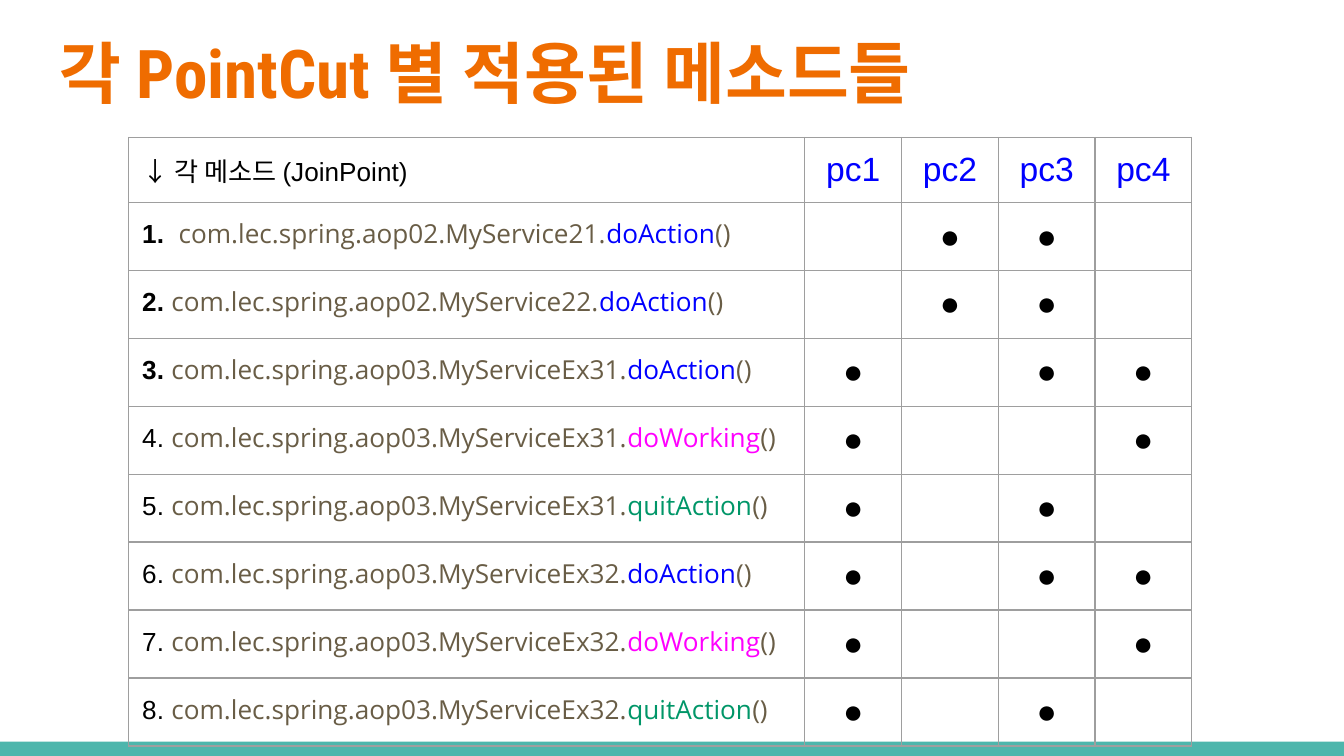
from lxml import etree
from pptx import Presentation
from pptx.dml.color import RGBColor
from pptx.enum.shapes import MSO_SHAPE
from pptx.enum.text import MSO_ANCHOR, MSO_AUTO_SIZE, PP_ALIGN
from pptx.oxml.ns import qn
from pptx.util import Pt

RECTANGLE = MSO_SHAPE.RECTANGLE
MIDDLE, TOP = MSO_ANCHOR.MIDDLE, MSO_ANCHOR.TOP
CENTER, LEFT = PP_ALIGN.CENTER, PP_ALIGN.LEFT
NO_AUTOFIT = MSO_AUTO_SIZE.NONE

COLORS = {
    "title": "EF6C00",
    "bar": "4DB6AC",
    "border": "9E9E9E",
    "text": "000000",
    "package": "695D46",
    "pointcut": "0000FF",
    "doAction": "0000FF",
    "doWorking": "FF00FF",
    "quitAction": "009668",
}
POINTCUTS = ["pc1", "pc2", "pc3", "pc4"]
JOINPOINTS = [
    ("1.  ", "aop02.MyService21", "doAction", ["pc2", "pc3"]),
    ("2. ", "aop02.MyService22", "doAction", ["pc2", "pc3"]),
    ("3. ", "aop03.MyServiceEx31", "doAction", ["pc1", "pc3", "pc4"]),
    ("4. ", "aop03.MyServiceEx31", "doWorking", ["pc1", "pc4"]),
    ("5. ", "aop03.MyServiceEx31", "quitAction", ["pc1", "pc3"]),
    ("6. ", "aop03.MyServiceEx32", "doAction", ["pc1", "pc3", "pc4"]),
    ("7. ", "aop03.MyServiceEx32", "doWorking", ["pc1", "pc4"]),
    ("8. ", "aop03.MyServiceEx32", "quitAction", ["pc1", "pc3"]),
]
BOLD_NUMBERS = 3
METHOD_WIDTH, POINTCUT_WIDTH, ROW_HEIGHT = 362.2, 51.84, 34.5


def write(frame, text, size=14, font="Arial", color="text", bold=False, align=LEFT):
    paragraph = frame.paragraphs[0]
    paragraph.alignment = align
    run = paragraph.add_run()
    run.text = text
    run.font.size = Pt(size)
    run.font.name = font
    run.font.bold = bold
    run.font.color.rgb = RGBColor.from_string(COLORS[color])


def format_cell(cell, anchor):
    cell.margin_left = cell.margin_right = Pt(7.2)
    cell.margin_top = cell.margin_bottom = Pt(7.2)
    cell.vertical_anchor = anchor
    properties = cell._tc.get_or_add_tcPr()
    for side in ("a:lnL", "a:lnR", "a:lnT", "a:lnB"):
        line = etree.SubElement(properties, qn(side), w=str(Pt(0.75)))
        fill = etree.SubElement(line, qn("a:solidFill"))
        etree.SubElement(fill, qn("a:srgbClr"), val=COLORS["border"])
    cell.fill.background()


prs = Presentation()
prs.slide_width, prs.slide_height = Pt(720), Pt(405)
slide = prs.slides.add_slide(prs.slide_layouts[5])

bar = slide.shapes.add_shape(RECTANGLE, 0, Pt(397.3), Pt(720), Pt(7.7))
bar.shadow.inherit = False
bar.fill.solid()
bar.fill.fore_color.rgb = RGBColor.from_string(COLORS["bar"])
bar.line.fill.background()

title = slide.shapes.title
title.left, title.top, title.width, title.height = Pt(24.5), Pt(10.8), Pt(671), Pt(55.4)
heading = title.text_frame
heading.margin_left = heading.margin_right = Pt(7.2)
heading.margin_top = heading.margin_bottom = Pt(7.2)
heading.vertical_anchor = MIDDLE
heading.word_wrap = True
heading.auto_size = NO_AUTOFIT
write(heading, "각 PointCut 별 적용된 메소드들", size=36, font="Roboto Condensed",
      color="title", bold=True)

row_count = len(JOINPOINTS) + 1
matrix = slide.shapes.add_table(
    row_count, len(POINTCUTS) + 1, Pt(69), Pt(73.6),
    Pt(METHOD_WIDTH + POINTCUT_WIDTH * len(POINTCUTS)), Pt(ROW_HEIGHT * row_count),
).table
matrix.first_row = matrix.horz_banding = False
for index, column in enumerate(matrix.columns):
    column.width = Pt(POINTCUT_WIDTH if index else METHOD_WIDTH)
for row in matrix.rows:
    row.height = Pt(ROW_HEIGHT)
for row in range(row_count):
    for column in range(len(POINTCUTS) + 1):
        format_cell(matrix.cell(row, column), MIDDLE if row and column else TOP)

write(matrix.cell(0, 0).text_frame, "↓ 각 메소드 (JoinPoint)")
for column, pointcut in enumerate(POINTCUTS, 1):
    write(matrix.cell(0, column).text_frame, pointcut, size=18, color="pointcut", align=CENTER)

for row, (number, service, method, applied) in enumerate(JOINPOINTS, 1):
    signature = matrix.cell(row, 0).text_frame
    write(signature, number, bold=row <= BOLD_NUMBERS)
    write(signature, f"com.lec.spring.{service}.", font="Open Sans", color="package")
    write(signature, method, font="Open Sans", color=method)
    write(signature, "()", font="Open Sans", color="package")
    for column, pointcut in enumerate(POINTCUTS, 1):
        if pointcut in applied:
            write(matrix.cell(row, column).text_frame, "●", size=18, bold=True, align=CENTER)

prs.save("out.pptx")
